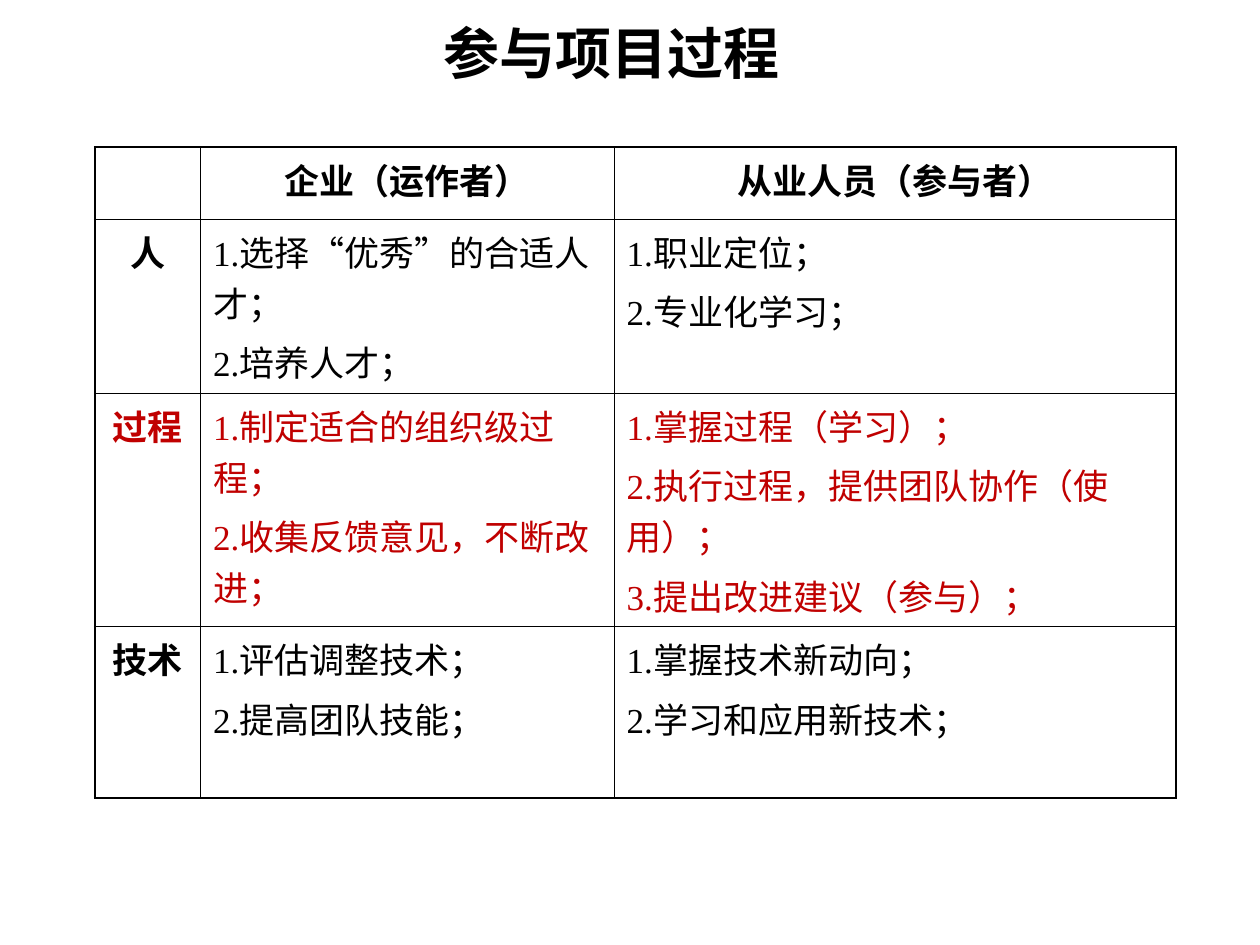
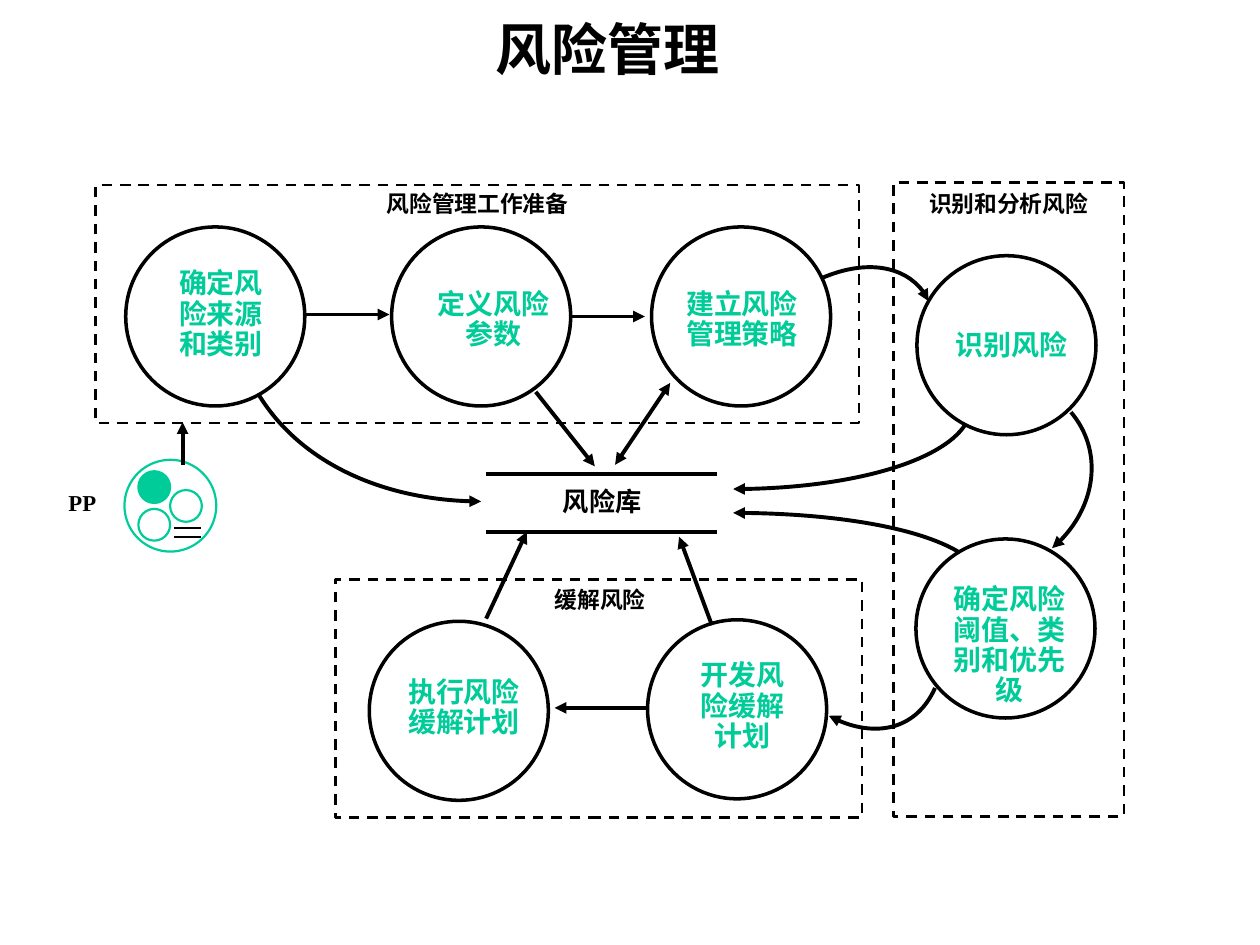
from dataclasses import dataclass

from lxml.etree import SubElement
from pptx import Presentation
from pptx.dml.color import RGBColor
from pptx.enum.dml import MSO_LINE_DASH_STYLE as Dash
from pptx.enum.lang import MSO_LANGUAGE_ID as Language
from pptx.enum.shapes import MSO_CONNECTOR as Connector, MSO_SHAPE as Shape
from pptx.enum.text import MSO_ANCHOR as Anchor, PP_ALIGN as Align
from pptx.oxml.ns import qn
from pptx.util import Cm, Pt


@dataclass(frozen=True)
class Theme:
    font: str = "Times New Roman"
    ink: str = "000000"
    paper: str = "FFFFFF"
    accent: str = "00CC99"
    stress: str = "C00000"
    title_size: int = 32
    table_size: int = 20
    step_size: int = 16
    store_size: int = 15
    caption_size: int = 13
    arrow_width: float = 2.25
    outline_width: float = 2
    phase_width: float = 1.5
    icon_width: float = 1.25
    outer_border: float = 1.08
    inner_border: float = 0.45


THEME = Theme()
STEP_DIAMETER = 3.61

COLUMN_WIDTHS = (2.13, 8.34, 11.33)
ROW_HEIGHTS = (1.45, 3.51, 4.7, 3.45)
ROLE_TABLE = [
    ([], ["企业（运作者）"], ["从业人员（参与者）"]),
    (["人"],
     ["1.选择“优秀”的合适人才；", "2.培养人才；"],
     ["1.职业定位；", "2.专业化学习；"]),
    (["过程"],
     ["1.制定适合的组织级过程；", "2.收集反馈意见，不断改进；"],
     ["1.掌握过程（学习）；", "2.执行过程，提供团队协作（使用）；",
      "3.提出改进建议（参与）；"]),
    (["技术"],
     ["1.评估调整技术；", "2.提高团队技能；"],
     ["1.掌握技术新动向；", "2.学习和应用新技术；"]),
]
STRESSED_ROW = 2

# Caption, frame of the phase, frame of its caption
PHASES = [
    ("缓解风险", (6.76, 11.68, 10.62, 4.8), (9.42, 11.66, 5.36, 0.84)),
    ("识别和分析风险", (18.01, 3.68, 4.65, 12.78), (17.65, 3.68, 5.36, 0.84)),
    ("风险管理工作准备", (1.93, 3.73, 15.39, 4.8), (3.35, 3.68, 12.55, 0.84)),
]
# Step, centre of its circle, frame of its label
STEPS = [
    ("确定风险来源和类别", (4.34, 6.38), (2.87, 5.31, 2.84, 2.08)),
    ("定义风险参数", (9.7, 6.38), (8.15, 5.72, 3.28, 1.47)),
    ("建立风险管理策略", (14.94, 6.38), (13.08, 5.72, 3.43, 1.47)),
    ("识别风险", (20.29, 6.96), (18.48, 6.55, 3.5, 0.86)),
    ("确定风险阈值、类别和优先级", (20.27, 12.67), (18.42, 11.68, 3.53, 2.69)),
    ("开发风险缓解计划", (14.86, 14.3), (13.31, 13.21, 3, 2.08)),
    ("执行风险缓解计划", (9.25, 14.33), (7.59, 13.54, 3.2, 1.47)),
]
STRAIGHT_FLOWS = [
    ((3.68, 9.37), (3.68, 8.51)),
    ((6.15, 6.34), (7.85, 6.34)),
    ((11.53, 6.38), (13, 6.38)),
    ((10.8, 7.9), (11.99, 9.4)),
    ((14.35, 12.6), (13.69, 10.82)),
    ((13.08, 14.27), (11.18, 14.27)),
    ((9.8, 12.47), (10.62, 10.72)),
]
TWO_WAY_FLOW = ((12.4, 9.37), (13.51, 7.72))
# Start, two control points, end
CURVED_FLOWS = [
    ((21.59, 8.31), (22.25, 9.09), (22.07, 10.34), (21.21, 11.05)),
    ((18.85, 13.87), (18.49, 14.68), (17.58, 14.91), (16.71, 14.43)),
    ((16.56, 5.61), (17.48, 5.21), (18.44, 5.41), (18.72, 6.07)),
    ((19.46, 8.56), (18.97, 9.32), (17.02, 9.86), (14.78, 9.86)),
    ((19.33, 11.13), (18.52, 10.64), (16.74, 10.34), (14.78, 10.34)),
    ((5.23, 7.98), (6.05, 9.3), (7.77, 10.11), (9.7, 10.11)),
]


def rgb(colour):
    return RGBColor.from_string(colour)


def in_cm(values):
    return [Cm(value) for value in values]


def write(frame, lines, size, colour=THEME.ink, bold=True, align=Align.CENTER,
          gap=0, spacing=None, indent=0):
    """Fill a text frame, one paragraph per line, punctuation kept inside it."""
    for number, line in enumerate(lines):
        paragraph = frame.add_paragraph() if number else frame.paragraphs[0]
        paragraph.alignment = align
        if number:
            paragraph.space_before = Pt(gap)
        if spacing:
            paragraph.line_spacing = spacing
        properties = paragraph._p.get_or_add_pPr()
        properties.set("hangingPunct", "0")
        if indent:
            properties.set("marL", str(Cm(indent)))
        run = paragraph.add_run()
        run.text = line
        font = run.font
        font.name, font.size, font.bold = THEME.font, Pt(size), bold
        font.color.rgb = rgb(colour)
        font.language_id = Language.SIMPLIFIED_CHINESE


def add_text(slide, text, frame, size, wrap=True, anchor=Anchor.TOP,
             margins=(0.25, 0.13), **text_format):
    body = slide.shapes.add_textbox(*in_cm(frame)).text_frame
    body.word_wrap = wrap
    body.vertical_anchor = anchor
    body.margin_left = body.margin_right = Cm(margins[0])
    body.margin_top = body.margin_bottom = Cm(margins[1])
    write(body, [text], size, **text_format)


def add_title(slide, text, frame):
    add_text(slide, text, frame, THEME.title_size, anchor=Anchor.MIDDLE,
             align=Align.LEFT)


def add_caption(slide, text, frame, **options):
    add_text(slide, text, frame, THEME.caption_size, margins=(0.28, 0.15), **options)


def set_line(line, width, colour=THEME.ink):
    line.color.rgb = rgb(colour)
    line.width = Pt(width)


def add_outline(shapes, kind, frame, width, colour=THEME.ink, fill=None, dash=None):
    outline = shapes.add_shape(kind, *in_cm(frame))
    outline.shadow.inherit = False
    if fill:
        outline.fill.solid()
        outline.fill.fore_color.rgb = rgb(fill)
    else:
        outline.fill.background()
    set_line(outline.line, width, colour)
    if dash:
        outline.line.dash_style = dash


def add_arrowheads(shape, *ends):
    for end in ends:
        SubElement(shape.line._get_or_add_ln(), qn(f"a:{end}"), type="triangle")


def add_line(shapes, start, end, width, *arrow_ends):
    line = shapes.add_connector(Connector.STRAIGHT, *in_cm(start + end))
    set_line(line.line, width)
    add_arrowheads(line, *arrow_ends)
    SubElement(line._element.spPr, qn("a:effectLst"))


def add_curve(slide, points):
    """Draw an arrow along one cubic Bézier curve."""
    start, *others = [in_cm(point) for point in points]
    builder = slide.shapes.build_freeform(*start)
    builder.add_line_segments(others, close=False)
    curve = builder.convert_to_shape()
    curve.shadow.inherit = False
    curve.fill.background()
    set_line(curve.line, THEME.arrow_width)
    add_arrowheads(curve, "tailEnd")
    outline = curve._element.find(f".//{qn('a:path')}")
    segments = outline.findall(qn("a:lnTo"))
    bezier = SubElement(outline, qn("a:cubicBezTo"))
    for segment in segments:
        bezier.append(segment[0])
        outline.remove(segment)


def set_borders(cell, outer_sides):
    properties = cell._tc.get_or_add_tcPr()
    for position, side in enumerate("LRTB"):
        width = THEME.outer_border if side in outer_sides else THEME.inner_border
        border = SubElement(properties, qn(f"a:ln{side}"), w=str(Pt(width)))
        fill = SubElement(border, qn("a:solidFill"))
        SubElement(fill, qn("a:srgbClr"), val=THEME.ink)
        properties.insert(position, border)


def add_role_table(slide):
    rows, columns = len(ROW_HEIGHTS), len(COLUMN_WIDTHS)
    size = in_cm((sum(COLUMN_WIDTHS), sum(ROW_HEIGHTS)))
    table = slide.shapes.add_table(rows, columns, Cm(1.91), Cm(2.97), *size).table
    table.first_row = table.horz_banding = False
    for column, width in zip(table.columns, COLUMN_WIDTHS):
        column.width = Cm(width)
    for r, (height, contents) in enumerate(zip(ROW_HEIGHTS, ROLE_TABLE)):
        table.rows[r].height = Cm(height)
        for c, lines in enumerate(contents):
            cell = table.cell(r, c)
            cell.fill.background()
            edges = {"L": c == 0, "R": c == columns - 1,
                     "T": r == 0, "B": r == rows - 1}
            set_borders(cell, [side for side, outer in edges.items() if outer])
            heading = r == 0 or c == 0
            write(cell.text_frame, lines, THEME.table_size, bold=heading, gap=5,
                  colour=THEME.stress if r == STRESSED_ROW else THEME.ink,
                  align=Align.CENTER if heading else Align.LEFT)


def add_planning_icon(slide):
    icon = slide.shapes.add_group_shape().shapes
    for left, top, diameter, fill in (
            (2.51, 9.27, 1.85, THEME.paper), (3.43, 9.88, 0.64, THEME.paper),
            (2.79, 10.26, 0.64, THEME.paper), (2.79, 9.5, 0.64, THEME.accent)):
        add_outline(icon, Shape.OVAL, (left, top, diameter, diameter),
                    THEME.icon_width, THEME.accent, fill)
    for y in (10.64, 10.82):
        add_line(icon, (3.51, y), (4.06, y), 1)
    add_caption(slide, "PP", (1.09, 9.7, 1.14, 0.84), wrap=False)


def add_step(slide, text, centre, label_frame):
    left, top = (value - STEP_DIAMETER / 2 for value in centre)
    add_outline(slide.shapes, Shape.OVAL, (left, top, STEP_DIAMETER, STEP_DIAMETER),
                THEME.outline_width)
    add_text(slide, text, label_frame, THEME.step_size,
             colour=THEME.accent, spacing=0.9, indent=0.33)


def add_risk_store(slide):
    for y in (9.55, 10.72):
        add_line(slide.shapes, (9.79, y), (14.45, y), THEME.outline_width)
    add_text(slide, "风险库", (9.5, 9.73, 5.28, 0.89), THEME.store_size, spacing=0.9)


def build_participation(slide):
    add_title(slide, "参与项目过程", (8.69, 0, 14.6, 2.11))
    add_role_table(slide)


def build_risk_management(slide):
    add_title(slide, "风险管理", (9.73, 0.2, 7.11, 1.55))
    add_planning_icon(slide)
    for caption, frame, caption_frame in PHASES:
        add_outline(slide.shapes, Shape.RECTANGLE, frame, THEME.phase_width,
                    fill=THEME.paper, dash=Dash.DASH)
        add_caption(slide, caption, caption_frame)
    for step in STEPS:
        add_step(slide, *step)
    add_risk_store(slide)
    for start, end in STRAIGHT_FLOWS:
        add_line(slide.shapes, start, end, THEME.arrow_width, "tailEnd")
    add_line(slide.shapes, *TWO_WAY_FLOW, THEME.arrow_width, "headEnd", "tailEnd")
    for points in CURVED_FLOWS:
        add_curve(slide, points)


def main():
    deck = Presentation()
    deck.slide_width, deck.slide_height = Cm(25.4), Cm(19.05)
    blank = deck.slide_layouts[6]
    for build in (build_participation, build_risk_management):
        build(deck.slides.add_slide(blank))
    deck.save("out.pptx")


if __name__ == "__main__":
    main()
